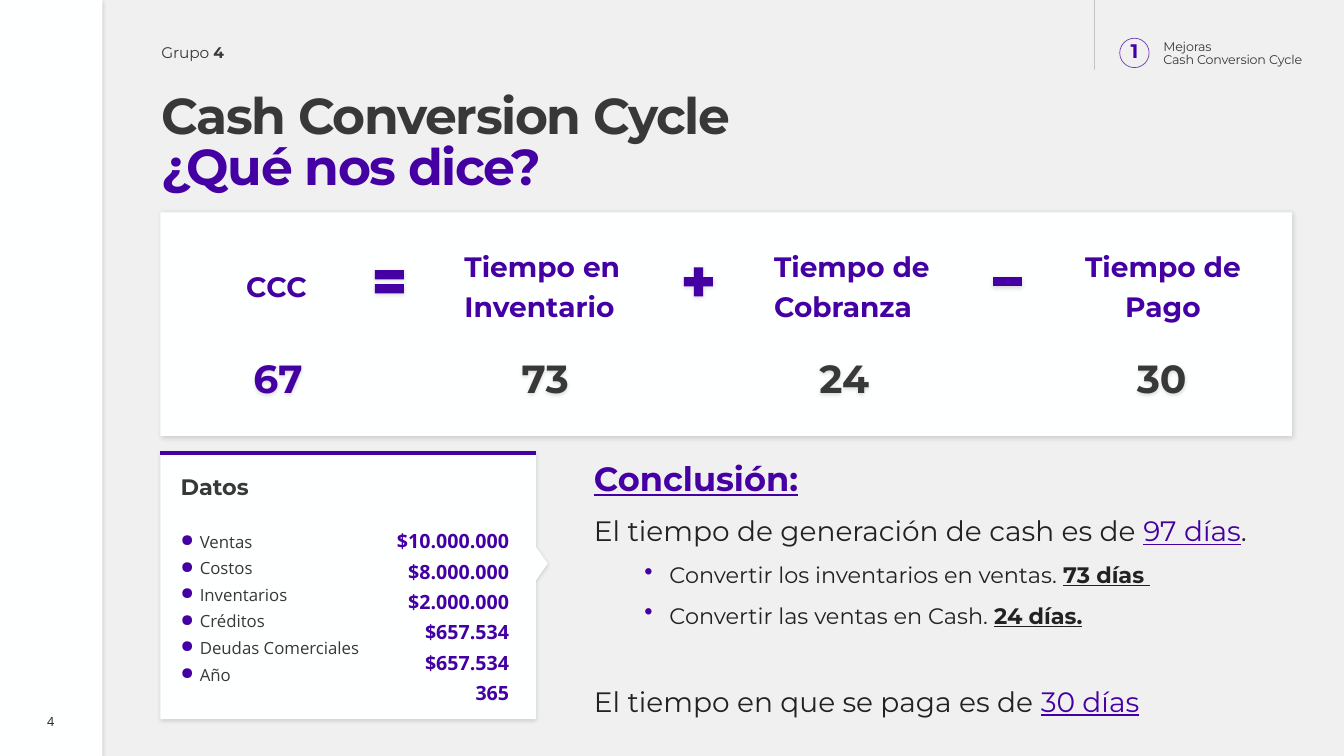
"""Builds the Cash Conversion Cycle slide on a grid of 160 columns by 90 rows."""
from lxml import etree
from pptx import Presentation
from pptx.dml.color import RGBColor
from pptx.enum.shapes import MSO_CONNECTOR, MSO_SHAPE
from pptx.enum.text import MSO_ANCHOR, MSO_AUTO_SIZE, PP_ALIGN
from pptx.oxml.ns import qn
from pptx.util import Inches, Pt

LEFT, CENTER, RIGHT = PP_ALIGN.LEFT, PP_ALIGN.CENTER, PP_ALIGN.RIGHT
TOP, MIDDLE = MSO_ANCHOR.TOP, MSO_ANCHOR.MIDDLE
RECT, OVAL = MSO_SHAPE.RECTANGLE, MSO_SHAPE.OVAL
OPERATORS = [MSO_SHAPE.MATH_EQUAL, MSO_SHAPE.MATH_PLUS, MSO_SHAPE.MATH_MINUS]
STRAIGHT, NO_AUTOFIT = MSO_CONNECTOR.STRAIGHT, MSO_AUTO_SIZE.NONE

W, H = Inches(13.33), Inches(7.5)
COLORS = {"back": "F0F0F0", "white": "FEFFFF", "purple": "4400A3",
          "dark": "383838", "black": "222222", "rule": "B4B4B4"}
HEAD, BODY = "Montserrat", "Open Sans"
EDGE, DATA_TOP, DATA_RIGHT, DATA_BOTTOM = 19.1, 53.9, 63.8, 85.6
PADDING = (0.2, 0.2, 0.2, 0.05)
TERMS = [("CCC", "67", 26.4), ("Tiempo en Inventario", "73", 58.2),
         ("Tiempo de Cobranza", "24", 93.8), ("Tiempo de Pago", "30", 131.6)]
DATA = [("Ventas", "$10.000.000"), ("Costos", "$8.000.000"),
        ("Inventarios", "$2.000.000"), ("Créditos", "$657.534"),
        ("Deudas Comerciales", "$657.534"), ("Año", "365")]


def col(n):
    """Return the distance of n columns."""
    return round(W * n / 160)


def row(n):
    """Return the distance of n rows."""
    return round(H * n / 90)


def cells(x, y, w, h):
    """Return left, top, width and height of a grid area."""
    return col(x), row(y), col(w), row(h)


def rgb(name):
    """Return a named colour."""
    return RGBColor.from_string(COLORS[name])


def font(size, color, name=HEAD, spc=None, **more):
    """Return the format values of a run."""
    return {"size": Pt(size), "name": name, "color": color, "spc": spc, **more}


def para(*runs, bullet=None, **fmt):
    """Return a paragraph as runs, bullet and format values."""
    return runs, bullet, fmt


def add_bullet(p, char, margin, hang, size):
    """Give a paragraph a purple bullet with a hanging indent."""
    pPr = p._p.get_or_add_pPr()
    pPr.set("marL", str(Inches(margin)))
    pPr.set("indent", str(-Inches(hang)))
    clr = etree.SubElement(pPr, qn("a:buClr"))
    etree.SubElement(clr, qn("a:srgbClr"), val=COLORS["purple"])
    etree.SubElement(pPr, qn("a:buSzPct"), val=str(size * 1000))
    etree.SubElement(pPr, qn("a:buChar"), char=char)


def write(sp, paras, insets=(0, 0, 0, 0), anchor=TOP, wrap=True):
    """Fill a shape with formatted paragraphs."""
    tf = sp.text_frame
    frame = {"auto_size": NO_AUTOFIT, "word_wrap": wrap, "vertical_anchor": anchor}
    sides = ("margin_left", "margin_top", "margin_right", "margin_bottom")
    frame.update(zip(sides, map(Inches, insets)))
    for key, value in frame.items():
        setattr(tf, key, value)
    for i, (runs, bullet, fmt) in enumerate(paras):
        p = tf.add_paragraph() if i else tf.paragraphs[0]
        if bullet:
            add_bullet(p, *bullet)
        for key, value in {"alignment": LEFT, **fmt}.items():
            setattr(p, key, value)
        for text, style in runs:
            r = p.add_run()
            r.text = text
            for key, value in style.items():
                if key == "color":
                    r.font.color.rgb = rgb(value)
                elif key != "spc":
                    setattr(r.font, key, value)
            if style["spc"]:
                r._r.get_or_add_rPr().set("spc", str(style["spc"]))


def add_text(slide, area, *paras, **frame):
    """Add a text box on a grid area."""
    sp = slide.shapes.add_textbox(*cells(*area))
    write(sp, paras, **frame)
    return sp


def soft_shadow(sp):
    """Give a shape a faint shadow below."""
    sp.shadow.inherit = False
    effects = sp._element.spPr.find(qn("a:effectLst"))
    shadow = etree.SubElement(effects, qn("a:outerShdw"), blurRad=str(Pt(3)),
                              dist=str(Pt(1)), dir="5400000", algn="t", rotWithShape="0")
    clr = etree.SubElement(shadow, qn("a:srgbClr"), val="000000")
    etree.SubElement(clr, qn("a:alpha"), val="15000")


def paint(sp, fill, shadow=True):
    """Fill a shape without outline."""
    sp.fill.solid()
    sp.fill.fore_color.rgb = rgb(fill)
    sp.line.fill.background()
    if shadow:
        soft_shadow(sp)
    else:
        sp.shadow.inherit = False
    return sp


def add_block(slide, area, fill="white", kind=RECT, shadow=True):
    """Add a filled preset shape on a grid area."""
    return paint(slide.shapes.add_shape(kind, *cells(*area)), fill, shadow)


def outline(sp, color, width, alpha=100):
    """Format the line of a shape or connector."""
    sp.line.color.rgb = rgb(color)
    sp.line.width = Pt(width)
    if alpha < 100:
        clr = sp._element.spPr.find(qn("a:ln")).find(".//" + qn("a:srgbClr"))
        etree.SubElement(clr, qn("a:alpha"), val=str(alpha * 1000))


def add_rule(slide, start, end, *style):
    """Add a straight line between two grid points."""
    line = slide.shapes.add_connector(STRAIGHT, col(start[0]), row(start[1]),
                                      col(end[0]), row(end[1]))
    outline(line, *style)
    etree.SubElement(line._element.spPr, qn("a:effectLst"))


def add_header(slide):
    """Add the side bar, the page marks and the title."""
    tight = {"line_spacing": 0.85}
    section = font(9, "dark", spc=-10)
    add_text(slide, (138.5, 4.9, 18.6, 3.1), para(("Mejoras", section), **tight),
             para(("Cash Conversion Cycle", section), **tight))
    badge = slide.shapes.add_shape(OVAL, *cells(133.3, 4.55, 3.5, 3.5))
    badge.fill.background()
    outline(badge, "purple", 0.5, 75)
    badge.shadow.inherit = False
    number = ("1", font(14, "purple", bold=True, spc=-10))
    write(badge, [para(number, alignment=CENTER, **tight)], anchor=MIDDLE, wrap=False)
    add_rule(slide, (130.3, 8.3), (130.3, 0), "rule", 0.5, 75)
    add_block(slide, (0, 0, 12.2, 90))
    page = add_block(slide, (4.3, 84, 3.5, 3.7), shadow=False)
    write(page, [para(("4", font(9, "black", BODY)), alignment=CENTER)], anchor=MIDDLE)
    add_text(slide, (19.2, 5.5, 10.6, 1.9),
             para(("Grupo ", font(11, "dark", spc=-10)),
                  ("4", font(11, "dark", spc=-10, bold=True)), **tight))
    title = slide.shapes.title
    title.left, title.top, title.width, title.height = cells(19.2, 11, 81.5, 12.4)
    lines = (("Cash Conversion Cycle", "dark"), ("¿Qué nos dice?", "purple"))
    write(title, [para((text, font(36, color, bold=True, spc=-100)), **tight)
                  for text, color in lines], anchor=MIDDLE)


def add_formula(slide):
    """Add the panel with the terms and operators of the formula."""
    add_block(slide, (EDGE, 25.3, 134.7, 26.6))
    for i, (label, days, x) in enumerate(TERMS):
        area = (18.45 + 36.85 * i, 28.9, 18.9, 9.4) if i else (29.3, 31.3, 8, 4.4)
        add_text(slide, area, para((label, font(20, "purple", bold=True)), line_spacing=1.2,
                                   alignment=CENTER if i == 3 else LEFT))
        style = font(28, "dark" if i else "purple", bold=True)
        soft_shadow(add_text(slide, (x, 39.8, 13.4, 10.7),
                             para((days, style), alignment=CENTER), insets=PADDING))
    for i, kind in enumerate(OPERATORS):
        add_block(slide, (44 + 36.8 * i, 31.2, 4.7, 4.7), "purple", kind)


def add_data(slide):
    """Add the pointed panel with the list of data."""
    points = [(DATA_RIGHT, DATA_TOP), (DATA_RIGHT, 65.1), (65.2, 67.1),
              (DATA_RIGHT, 69.1), (DATA_RIGHT, DATA_BOTTOM), (EDGE, DATA_BOTTOM)]
    builder = slide.shapes.build_freeform(col(EDGE), row(DATA_TOP))
    builder.add_line_segments([(col(x), row(y)) for x, y in points])
    panel = paint(builder.convert_to_shape(), "white")
    heading = para(("Datos", font(16, "dark", bold=True)), space_after=Pt(18))
    items = [para((name, font(12, "dark", BODY)), bullet=("●", 0.19, 0.19, 100),
                  line_spacing=1.32) for name, _ in DATA]
    write(panel, [heading, *items], insets=PADDING)
    add_rule(slide, (EDGE, DATA_TOP), (DATA_RIGHT, DATA_TOP), "purple", 3)
    for i, (_, value) in enumerate(DATA):
        add_text(slide, (45.8, 62.4 + 3.62 * i, 16, 4.1),
                 para((value, font(14, "purple", BODY, bold=True)), alignment=RIGHT),
                 insets=(0.1, 0.05, 0.1, 0.05))


def add_conclusion(slide):
    """Add the conclusion text."""
    plain, small = font(20, "black"), font(16, "black")
    key = font(20, "purple", underline=True)
    strong = font(16, "black", bold=True, underline=True)
    fmt = {"line_spacing": 1.2, "space_after": Pt(6)}
    sub = {"bullet": ("•", 0.75, 0.25, 110), "level": 1, **fmt}
    add_text(slide, (70.7, 53.6, 86.9, 31.8),
             para(("Conclusión:", font(24, "purple", bold=True, underline=True)), **fmt),
             para(("El tiempo de generación de cash es de ", plain), ("97 días", key),
                  (".", plain), **fmt),
             para(("Convertir los inventarios en ventas. ", small), ("73 días ", strong), **sub),
             para(("Convertir las ventas en Cash. ", small), ("24 días.", strong), **sub),
             para(("El tiempo en que se paga es de ", plain), ("30 días", key),
                  line_spacing=1.2, space_before=Pt(29)))


def main():
    """Build and save the slide."""
    prs = Presentation()
    prs.slide_width, prs.slide_height = W, H
    slide = prs.slides.add_slide(prs.slide_layouts.get_by_name("Title Only"))
    slide.background.fill.solid()
    slide.background.fill.fore_color.rgb = rgb("back")
    for add_part in (add_header, add_formula, add_data, add_conclusion):
        add_part(slide)
    prs.save("out.pptx")


if __name__ == "__main__":
    main()
